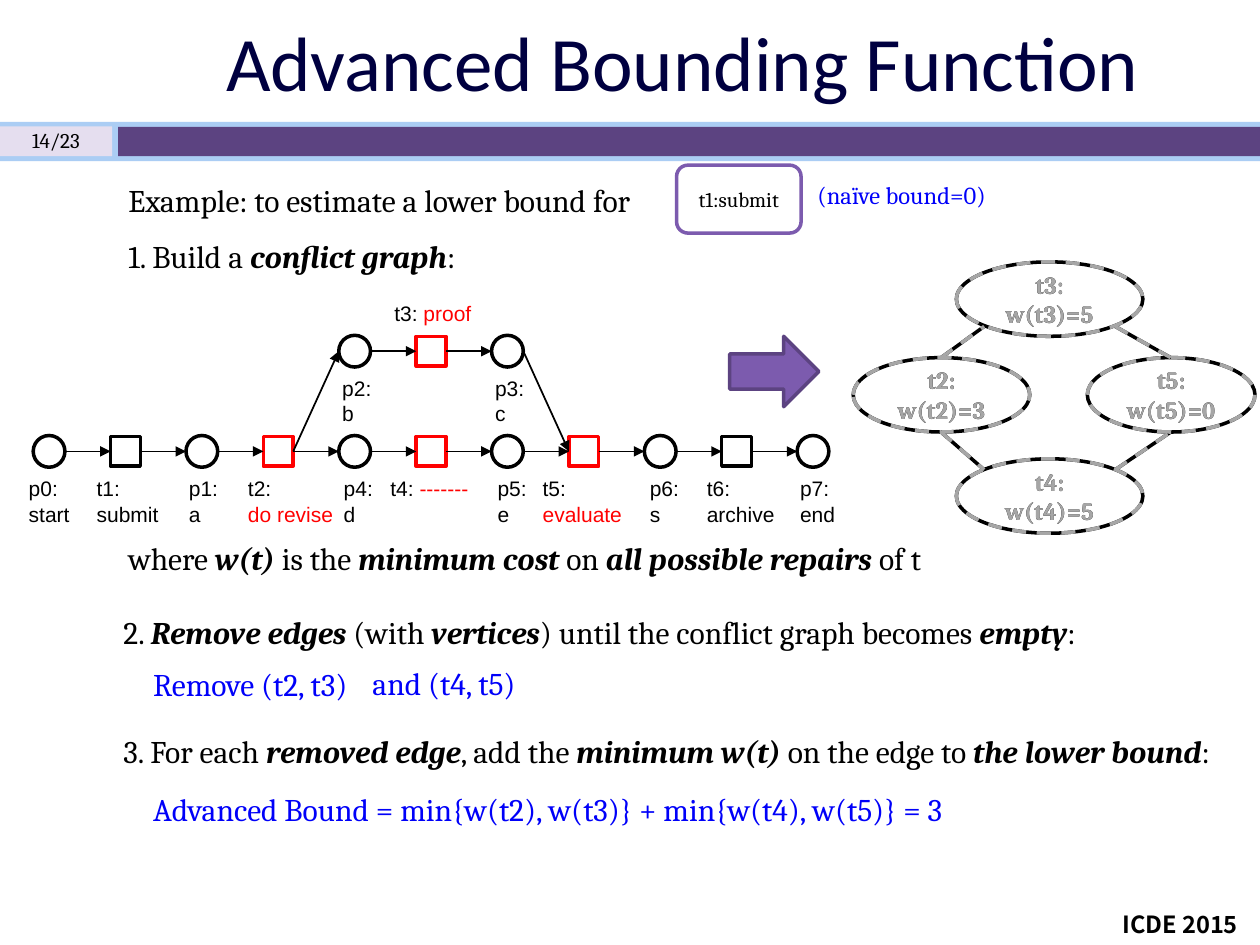
from lxml import etree
from pptx import Presentation
from pptx.dml.color import RGBColor
from pptx.enum.dml import MSO_LINE_DASH_STYLE as DASH
from pptx.enum.shapes import MSO_CONNECTOR as CONNECTOR, MSO_SHAPE as SHAPE
from pptx.enum.text import MSO_ANCHOR as ANCHOR, MSO_AUTO_SIZE as AUTO_SIZE, PP_ALIGN as ALIGN
from pptx.oxml.ns import qn
from pptx.util import Cm, Pt

COLORS = {
    "black": "000000", "white": "FFFFFF", "navy": "000040", "blue": "0000F9",
    "red": "FF0000", "gray": "A6A6A6", "sky": "ABCDF4", "lilac": "E5DEEF",
    "purple": "7C5BAE", "plum": "5C4381",
}
COLORS = {name: RGBColor.from_string(value) for name, value in COLORS.items()}


def add_box(text, left, top, width, height, kind=None, fill=None, line=None, dash=None,
            font="Cambria", size=18, color="black", bold=False, accent=None,
            align=ALIGN.LEFT, anchor=ANCHOR.TOP, wrap=True):
    """Add a text box, or a shape of a kind; *stars* mark bold italic or accent-coloured text."""
    area = Cm(left), Cm(top), Cm(width), Cm(height)
    if kind is None:
        shape = slide.shapes.add_textbox(*area)
    else:
        shape = slide.shapes.add_shape(kind, *area)
        shape.shadow.inherit = False
        if fill:
            shape.fill.solid()
            shape.fill.fore_color.rgb = COLORS[fill]
        else:
            shape.fill.background()
        if line:
            shape.line.color.rgb = COLORS[line]
            shape.line.width = Pt(2)
            shape.line.dash_style = dash
        else:
            shape.line.fill.background()
    if not text:
        return
    frame = shape.text_frame
    frame.word_wrap = wrap
    frame.vertical_anchor = anchor
    if not wrap:
        frame.auto_size = AUTO_SIZE.SHAPE_TO_FIT_TEXT
    for number, row in enumerate(text.split("\n")):
        paragraph = frame.add_paragraph() if number else frame.paragraphs[0]
        paragraph.alignment = align
        for part, words in enumerate(row.split("*")):
            if not words:
                continue
            marked = part % 2 == 1
            strong = marked and accent is None
            run = paragraph.add_run()
            run.text = words
            run.font.name = font
            run.font.size = Pt(size)
            run.font.bold = bold or strong
            run.font.italic = strong
            run.font.color.rgb = COLORS[accent if marked and accent else color]


def add_line(start, end, color="black", weight=1, dash=None, arrow=False):
    connector = slide.shapes.add_connector(
        CONNECTOR.STRAIGHT, *(Cm(value) for value in (*start, *end)))
    connector.line.color.rgb = COLORS[color]
    connector.line.width = Pt(weight)
    connector.line.dash_style = dash
    if arrow:
        etree.SubElement(connector.line._get_or_add_ln(), qn("a:tailEnd"), type="triangle")
    etree.SubElement(connector._element.spPr, qn("a:effectLst"))


presentation = Presentation()
presentation.slide_width, presentation.slide_height = Cm(25.4), Cm(19.05)
slide = presentation.slides.add_slide(presentation.slide_layouts[6])
centered = {"align": ALIGN.CENTER, "anchor": ANCHOR.MIDDLE}

# Header band, title and page number
add_box("", 0, 2.46, 25.4, 0.79, kind=SHAPE.RECTANGLE, fill="sky")
add_box("", 0, 2.55, 2.26, 0.6, kind=SHAPE.RECTANGLE, fill="lilac")
add_box("", 2.38, 2.56, 23.02, 0.59, kind=SHAPE.RECTANGLE, fill="plum")
add_box("Advanced Bounding Function", 2.34, 0.08, 22.86, 2.29,
        font="Calibri", size=44, color="navy", **centered)
add_box("14/23", 0, 2.44, 2.26, 0.79, size=12, **centered)

# Example state and the arrow to the conflict graph
add_box("(naïve bound=0)", 16.23, 3.51, 4.06, 0.86, size=14, color="blue", wrap=False)
add_box("t1:submit", 13.64, 3.33, 2.51, 1.37, kind=SHAPE.ROUNDED_RECTANGLE,
        fill="white", line="purple", size=12, **centered)
add_box("", 14.71, 6.78, 1.8, 1.42, kind=SHAPE.RIGHT_ARROW, fill="purple", line="plum")

# Conflict graph: solid black, then dashed gray on top for the removed parts
vertices = [
    ("t2:\nw(t2)=3", 17.2, 7.21, 3.56),
    ("t3:\nw(t3)=5", 19.28, 5.28, 3.76),
    ("t5:\nw(t5)=0", 21.92, 7.21, 3.38),
    ("t4:\nw(t4)=5", 19.28, 9.25, 3.76),
]
edges = [
    ((18.97, 7.21), (19.84, 6.58)),
    ((23.6, 7.21), (22.48, 6.58)),
    ((18.97, 8.71), (19.84, 9.47)),
    ((22.48, 9.47), (23.6, 8.71)),
]
for color, dash in (("black", None), ("gray", DASH.DASH)):
    for text, left, top, width in vertices:
        add_box(text, left, top, width, 1.5, kind=SHAPE.OVAL, line=color, dash=dash,
                size=14, color=color, bold=True, **centered)
    for start, end in edges:
        add_line(start, end, color=color, weight=2, dash=dash)

# Process net: circles on even columns, squares on odd ones
FIRST, PITCH, MAIN, BRANCH = 0.99, 1.54, 9.1, 7.08
HALF = {0: 0.32, 1: 0.3}  # half a circle, half a square
nodes = [(column, MAIN) for column in range(11)] + [(column, BRANCH) for column in (4, 5, 6)]
for column, middle in nodes:
    half = HALF[column % 2]
    add_box("", FIRST + column * PITCH - half, middle - half, 2 * half, 2 * half,
            kind=SHAPE.RECTANGLE if column % 2 else SHAPE.OVAL,
            line="red" if column in (3, 5, 7) else "black")

steps = [(column, MAIN, MAIN) for column in range(10)]
steps += [(3, MAIN, BRANCH), (4, BRANCH, BRANCH), (5, BRANCH, BRANCH), (6, BRANCH, MAIN)]
for column, start, end in steps:
    center = FIRST + column * PITCH
    add_line((center + HALF[column % 2], start),
             (center + PITCH - HALF[(column + 1) % 2], end), arrow=True)

# Net labels
LABEL_TOP = 9.47
for text, left, top, width in [
    ("p0:\nstart", 0.33, LABEL_TOP, 1.5),
    ("t1:\nsubmit", 1.7, LABEL_TOP, 1.83),
    ("p1:\na", 3.56, LABEL_TOP, 1.52),
    ("t2:\n*do revise*", 4.75, LABEL_TOP, 2.29),
    ("p4:\nd", 6.68, LABEL_TOP, 1.4),
    ("t4: *-------*", 7.62, LABEL_TOP, 2.29),
    ("p5:\ne", 9.78, LABEL_TOP, 1.75),
    ("t5:\n*evaluate*", 10.69, LABEL_TOP, 2.13),
    ("p6:\ns", 12.85, LABEL_TOP, 1.42),
    ("t6:\narchive", 14, LABEL_TOP, 1.91),
    ("p7: end", 15.88, LABEL_TOP, 1.5),
    ("p2:\nb", 6.65, 7.45, 1.88),
    ("p3:\nc", 9.73, 7.45, 1.63),
    ("t3: *proof*", 7.7, 5.94, 3.02),
]:
    add_box(text, left, top, width, 1.27, font="Arial", size=12, accent="red")

# Explanation, with results in blue
for text, left, top, width, color in [
    ("Example: to estimate a lower bound for", 2.34, 3.53, 11.25, "black"),
    ("1. Build a *conflict graph*:", 2.34, 4.65, 7.37, "black"),
    ("where *w(t) *is the *minimum cost *on *all possible repairs *of t",
     2.34, 10.74, 16.99, "black"),
    ("2. *Remove edges *(with *vertices*) until the conflict graph becomes *empty*:",
     2.24, 12.24, 20.45, "black"),
    ("Remove (t2, t3)", 2.84, 13.28, 4.9, "blue"),
    ("and (t4, t5)", 7.26, 13.26, 3.61, "blue"),
    ("3. For each *removed edge*, add the *minimum w(t) *on the edge to *the lower bound*:",
     2.24, 14.63, 23.04, "black"),
    ("Advanced Bound = min{w(t2), w(t3)} + min{w(t4), w(t5)} = 3",
     2.84, 15.8, 17.22, "blue"),
]:
    add_box(text, left, top, width, 1.02, color=color, wrap=False)

# Venue
add_box("ICDE 2015", 22.38, 18.21, 3, 0.84, font="Noto Sans CJK SC", size=13.5,
        bold=True, wrap=False)

presentation.save("out.pptx")
